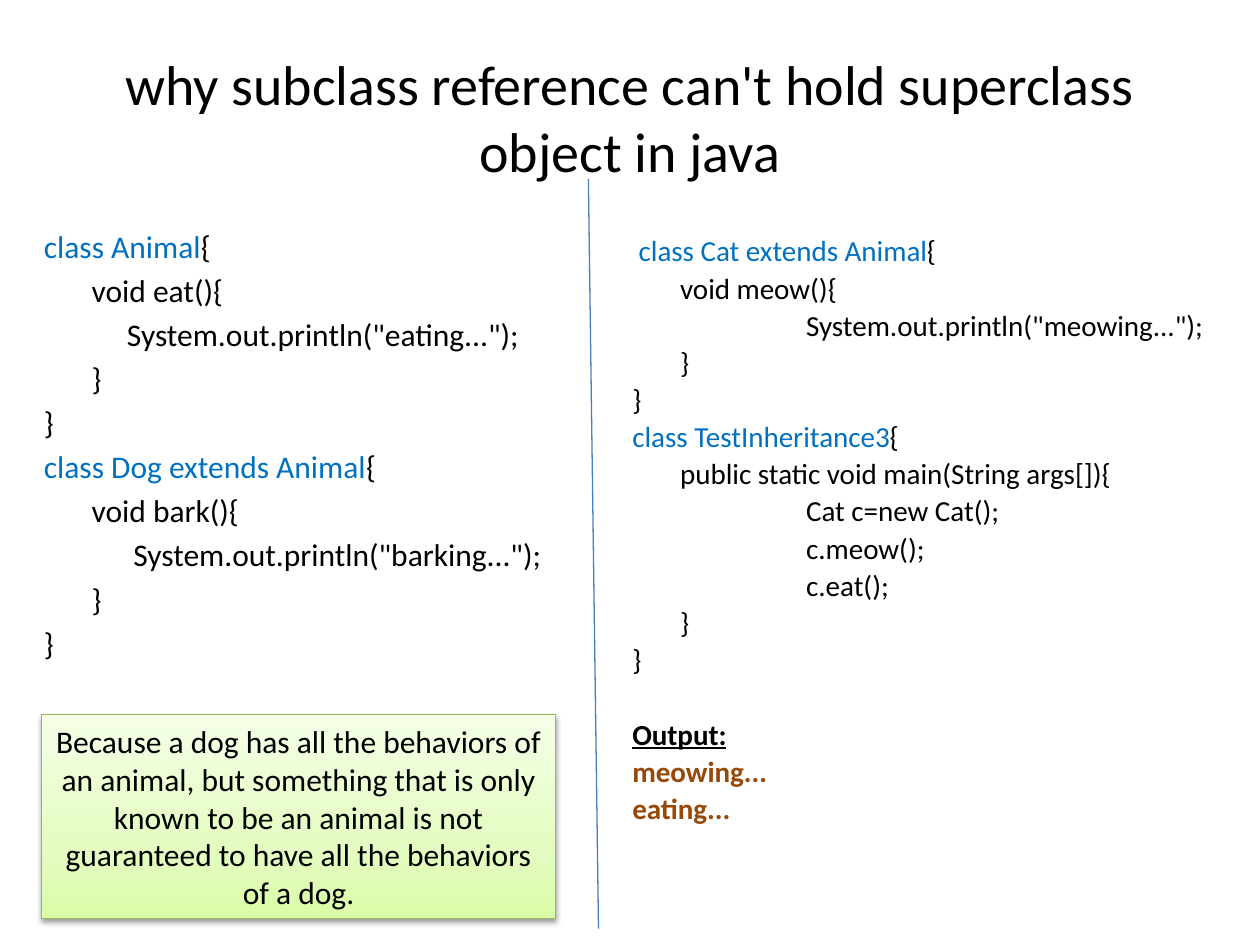
from dataclasses import dataclass

from lxml import etree
from pptx import Presentation, util as u
from pptx.dml.color import RGBColor
from pptx.enum import shapes, text
from pptx.oxml import parse_xml
from pptx.oxml.ns import nsdecls, qn


@dataclass(frozen=True)
class Theme:
    """Colours, font and type sizes of the slide."""
    font: str = "Calibri"
    ink: str = "000000"
    keyword: str = "0070C0"
    result: str = "984807"
    divider: str = "4B7EBC"
    note_line: str = "98B955"
    note_stops: tuple = ((0, "DAFDA7"), (35, "E4FCC2"), (100, "F5FFE7"))
    title_size: float = 32
    left_size: float = 18
    right_size: float = 16.6
    note_size: float = 18


THEME = Theme()
WIDTH, HEIGHT = 10, 7.5
STEP = 0.38

LEFT_CODE = [
    (0, "class Animal", "{"),
    (STEP, "", "void eat(){"),
    (0.66, "", 'System.out.println("eating...");'),
    (STEP, "", "}"),
    (0, "", "}"),
    (0, "class Dog extends Animal", "{"),
    (STEP, "", "void bark(){"),
    (0.71, "", 'System.out.println("barking...");'),
    (STEP, "", "}"),
    (0, "", "}"),
]
RIGHT_CODE = [
    (0.05, "class Cat extends Animal", "{"),
    (STEP, "", "void meow(){"),
    (1.38, "", 'System.out.println("meowing...");'),
    (STEP, "", "}"),
    (0, "", "}"),
    (0, "class TestInheritance3", "{"),
    (STEP, "", "public static void main(String args[]){"),
    (1.38, "", "Cat c=new Cat();"),
    (1.38, "", "c.meow();"),
    (1.38, "", "c.eat();"),
    (STEP, "", "}"),
    (0, "", "}"),
]
OUTPUT = ["meowing...", "eating..."]


def style_run(run, size, color=THEME.ink, bold=False, underline=False):
    """Give a run its font, size and colour."""
    font = run.font
    font.name, font.size = THEME.font, u.Pt(size)
    font.bold, font.underline = bold, underline
    font.color.rgb = RGBColor.from_string(color)


def add_panel(slide, left, top, width, height):
    """Add an empty wrapping text box and return its frame."""
    frame = slide.shapes.add_textbox(*map(u.Inches, (left, top, width, height))).text_frame
    frame.word_wrap = True
    return frame


def add_line(frame, parts, size, indent=0, spacing=1.0, before=None, **style):
    """Append one paragraph made of (text, colour) parts."""
    first = frame.paragraphs[0]
    line = frame.add_paragraph() if first.runs else first
    line.line_spacing = spacing
    line.space_before = u.Pt(round(0.2 * size if before is None else before, 1))
    line._p.get_or_add_pPr().set("marL", str(u.Inches(indent)))
    for words, color in parts:
        if words:
            run = line.add_run()
            run.text = words
            style_run(run, size, color, **style)


def add_code(frame, code, size, spacing=1.0):
    """Write code lines with highlighted class headings."""
    for indent, heading, rest in code:
        add_line(frame, [(heading, THEME.keyword), (rest, THEME.ink)], size, indent, spacing)


def add_output(frame, size, spacing):
    """Write the program output under its underlined heading."""
    add_line(frame, [("Output:", THEME.ink)], size, spacing=spacing,
             before=24.6, bold=True, underline=True)
    for words in OUTPUT:
        add_line(frame, [(words, THEME.result)], size, spacing=spacing, bold=True)


def add_title(slide, words):
    """Add the centred slide title."""
    frame = add_panel(slide, 0.05 * WIDTH, 0.04 * HEIGHT, 0.9 * WIDTH, HEIGHT / 6)
    frame.vertical_anchor = text.MSO_ANCHOR.MIDDLE
    frame.text = words
    frame.paragraphs[0].alignment = text.PP_ALIGN.CENTER
    style_run(frame.paragraphs[0].runs[0], THEME.title_size)


def add_note(slide, words):
    """Add the shaded explanation box."""
    note = slide.shapes.add_shape(shapes.MSO_SHAPE.RECTANGLE,
                                  *map(u.Inches, (0.33, 5.67, 4.08, 1.62)))
    stops = "".join(f'<a:gs pos="{place * 1000}"><a:srgbClr val="{color}"/></a:gs>'
                    for place, color in THEME.note_stops)
    properties = note._element.spPr
    properties.append(parse_xml(
        f'<a:gradFill {nsdecls("a")} rotWithShape="1"><a:gsLst>{stops}</a:gsLst>'
        '<a:lin ang="16200000" scaled="0"/></a:gradFill>'))
    note.line.color.rgb = RGBColor.from_string(THEME.note_line)
    note.line.width = u.Pt(0.75)
    properties.append(parse_xml(
        f'<a:effectLst {nsdecls("a")}><a:outerShdw blurRad="{u.Pt(3.1)}" '
        f'dist="{u.Pt(1.6)}" dir="5400000" rotWithShape="0"><a:srgbClr val="000000">'
        '<a:alpha val="38000"/></a:srgbClr></a:outerShdw></a:effectLst>'))
    frame = note.text_frame
    frame.word_wrap = True
    frame.auto_size = text.MSO_AUTO_SIZE.SHAPE_TO_FIT_TEXT
    frame.text = words
    frame.paragraphs[0].alignment = text.PP_ALIGN.CENTER
    style_run(frame.paragraphs[0].runs[0], THEME.note_size)


def add_divider(slide):
    """Add the line between the two code columns."""
    divider = slide.shapes.add_connector(shapes.MSO_CONNECTOR.STRAIGHT,
                                         *map(u.Inches, (4.67, 1.42, 4.75, 7.37)))
    divider.line.color.rgb = RGBColor.from_string(THEME.divider)
    divider.line.width = u.Pt(0.75)
    etree.SubElement(divider._element.spPr, qn("a:effectLst"))


def main():
    """Build and save the slide."""
    deck = Presentation()
    deck.slide_width, deck.slide_height = u.Inches(WIDTH), u.Inches(HEIGHT)
    slide = deck.slides.add_slide(deck.slide_layouts[6])
    add_title(slide, "why subclass reference can't hold superclass object in java")
    parents = add_panel(slide, 0.25, 1.75, 4.17, 4.95)
    add_code(parents, LEFT_CODE, THEME.left_size)
    usage = add_panel(slide, 4.92, 1.83, 5, 5.25)
    add_code(usage, RIGHT_CODE, THEME.right_size, 0.9)
    add_output(usage, THEME.right_size, 0.9)
    add_note(slide, "Because a dog has all the behaviors of an animal, but something that "
                    "is only known to be an animal is not guaranteed to have all the "
                    "behaviors of a dog.")
    add_divider(slide)
    deck.save("out.pptx")


if __name__ == "__main__":
    main()
